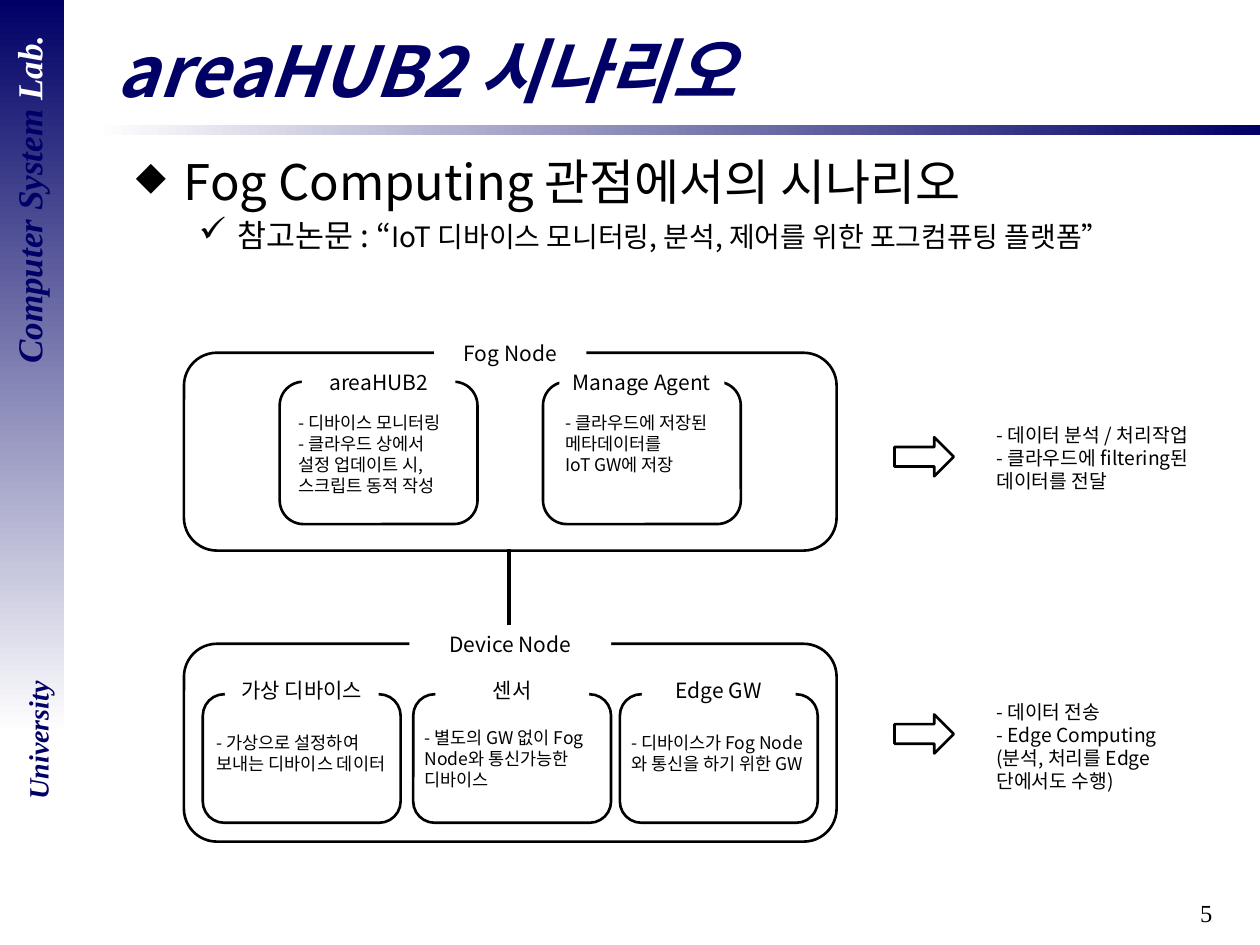
"""Build the areaHUB2 fog computing scenario slide."""
from dataclasses import dataclass

from lxml import etree
from pptx import Presentation
from pptx.dml.color import RGBColor
from pptx.enum.shapes import MSO_CONNECTOR, MSO_SHAPE
from pptx.enum.text import MSO_ANCHOR, MSO_AUTO_SIZE, PP_ALIGN
from pptx.oxml.ns import qn
from pptx.util import Inches, Pt

RECT, ROUND, ARROW = MSO_SHAPE.RECTANGLE, MSO_SHAPE.ROUNDED_RECTANGLE, MSO_SHAPE.RIGHT_ARROW
STRAIGHT = MSO_CONNECTOR.STRAIGHT
TOP, MIDDLE = MSO_ANCHOR.TOP, MSO_ANCHOR.MIDDLE
LEFT, CENTER, RIGHT = PP_ALIGN.LEFT, PP_ALIGN.CENTER, PP_ALIGN.RIGHT
GROW = MSO_AUTO_SIZE.SHAPE_TO_FIT_TEXT
COLORS = {"navy": "000066", "black": "000000", "white": "FFFFFF"}
SANS, SERIF = "Noto Sans CJK KR", "Times New Roman"


@dataclass
class Box:
    left: float
    top: float
    width: float
    height: float


@dataclass
class Run:
    text: str
    size: float
    color: str = "black"
    font: str = SANS
    strong: bool = False


@dataclass
class Bullet:
    char: str
    percent: int
    margin: float
    hang: float
    level: int


@dataclass
class Node:
    label: str
    box: Box
    label_width: float
    label_rise: float = 0.15


@dataclass
class Note:
    box: Box
    size: float
    lines: list[str]


NODES = [
    Node("Device Node", Box(1.46, 5.11, 5.18, 1.57), 1.6),
    Node("Fog Node", Box(1.46, 2.8, 5.18, 1.57), 1.21),
    Node("가상 디바이스", Box(1.61, 5.51, 1.57, 1.02), 1.22, 0.18),
    Node("센서", Box(3.28, 5.51, 1.57, 1.02), 1.22, 0.18),
    Node("Edge GW", Box(4.92, 5.51, 1.57, 1.02), 1.22, 0.18),
    Node("areaHUB2", Box(2.22, 3.03, 1.57, 1.13), 1.22),
    Node("Manage Agent", Box(4.31, 3.03, 1.57, 1.13), 1.31),
]
DEVICE_NOTES = [
    Note(Box(1.69, 5.66, 1.43, 0.64), 10, ["- 가상으로 설정하여", "보내는 디바이스 데이터"]),
    Note(Box(3.34, 5.7, 1.45, 0.64), 10, ["- 별도의 GW 없이 Fog Node와 통신가능한", "디바이스"]),
    Note(Box(4.98, 5.66, 1.48, 0.64), 10, ["- 디바이스가 Fog Node와 통신을 하기 위한 GW"]),
]
NOTES = [
    Note(Box(2.27, 3.22, 1.35, 0.77), 10,
         ["- 디바이스 모니터링", "- 클라우드 상에서", "설정 업데이트 시,", "스크립트 동적 작성"]),
    Note(Box(4.39, 3.22, 1.43, 0.61), 10, ["- 클라우드에 저장된", "메타데이터를", "IoT GW에 저장"]),
    Note(Box(7.81, 3.31, 1.76, 0.66), 11,
         ["- 데이터 분석 / 처리작업", "- 클라우드에 filtering된", "데이터를 전달"]),
    Note(Box(7.81, 5.51, 1.76, 0.84), 11,
         ["- 데이터 전송", "- Edge Computing", "(분석, 처리를 Edge 단에서도 수행)"]),
]
BULLETS = [Bullet("◆", 80, 0.38, 0.38, 0), Bullet("✓", 110, 0.81, 0.31, 1)]


def rgb(name: str) -> RGBColor:
    return RGBColor.from_string(COLORS[name])


def place(box: Box) -> list[Inches]:
    return [Inches(v) for v in (box.left, box.top, box.width, box.height)]


def write(sp, paragraphs: list[list[Run]], align=LEFT, anchor=TOP):
    tf = sp.text_frame
    tf.word_wrap = True
    tf.vertical_anchor = anchor
    for i, runs in enumerate(paragraphs):
        p = tf.add_paragraph() if i else tf.paragraphs[0]
        p.alignment = align
        for run in runs:
            r = p.add_run()
            r.text = run.text
            r.font.size = Pt(run.size)
            r.font.name = run.font
            r.font.bold = r.font.italic = run.strong
            r.font.color.rgb = rgb(run.color)
            etree.SubElement(r.font._element, qn("a:ea"), typeface=run.font)
    return tf


def add_text(s, box: Box, paragraphs: list[list[Run]], align=LEFT, anchor=TOP, rotation=0):
    sp = s.shapes.add_textbox(*place(box))
    sp.rotation = rotation
    return write(sp, paragraphs, align, anchor)


def add_shape(s, kind, box: Box, fill: str = "", line: str = ""):
    sp = s.shapes.add_shape(kind, *place(box))
    sp.shadow.inherit = False
    if fill:
        sp.fill.solid()
        sp.fill.fore_color.rgb = rgb(fill)
    else:
        sp.fill.background()
    if line:
        sp.line.color.rgb = rgb(line)
        sp.line.width = Pt(1.5)
    else:
        sp.line.fill.background()
    return sp


def add_gradient(s, box: Box, colors: tuple[str, str], angle: int) -> None:
    sp = add_shape(s, RECT, box)
    sp.fill.gradient()
    sp.fill.gradient_angle = angle
    for stop, color in zip(sp.fill.gradient_stops, colors):
        stop.color.rgb = rgb(color)


def set_bullet(p, bullet: Bullet) -> None:
    p.level = bullet.level
    ppr = p._p.get_or_add_pPr()
    ppr.set("marL", str(Inches(bullet.margin)))
    ppr.set("indent", str(-Inches(bullet.hang)))
    space = etree.SubElement(ppr, qn("a:spcBef"))
    etree.SubElement(space, qn("a:spcPct"), val="20000")
    etree.SubElement(ppr, qn("a:buSzPct"), val=str(bullet.percent * 1000))
    etree.SubElement(ppr, qn("a:buChar"), char=bullet.char)


def add_node(s, node: Node) -> None:
    b = node.box
    add_shape(s, ROUND, b, line="black")
    left = b.left + (b.width - node.label_width) / 2
    label = Box(left, b.top - node.label_rise, node.label_width, 0.3)
    sp = add_shape(s, RECT, label, fill="white")
    write(sp, [[Run(node.label, 12)]], CENTER).auto_size = GROW


def add_note(s, note: Note, framed: bool) -> None:
    paragraphs = [[Run(line, note.size)] for line in note.lines]
    if framed:
        tf = write(add_shape(s, ROUND, note.box), paragraphs, anchor=MIDDLE)
        tf.margin_left = tf.margin_right = 0
    else:
        add_text(s, note.box, paragraphs).auto_size = GROW


def add_link(s, x: float, top: float, bottom: float) -> None:
    line = s.shapes.add_connector(STRAIGHT, Inches(x), Inches(top), Inches(x), Inches(bottom))
    line.line.color.rgb = rgb("black")
    line.line.width = Pt(2.25)
    etree.SubElement(line._element.spPr, qn("a:effectLst"))


def main() -> None:
    prs = Presentation()
    prs.slide_width, prs.slide_height = Inches(10), Inches(7.5)
    s = prs.slides.add_slide(prs.slide_layouts[6])
    add_gradient(s, Box(0.75, 0.99, 9.25, 0.08), ("white", "navy"), 0)
    add_text(s, Box(7.64, 7.08, 2.08, 0.42), [[Run("5", 14, font=SERIF)]], RIGHT)
    add_gradient(s, Box(0, 0, 0.51, 5.83), ("navy", "white"), 270)
    add_text(s, Box(-1.31, 1.37, 3.07, 0.43),
             [[Run("Computer System ", 20, "navy", SERIF, True),
               Run("Lab.", 20, "white", SERIF, True)]], CENTER, rotation=270)
    add_text(s, Box(-0.41, 5.69, 1.42, 0.37),
             [[Run("University", 16, "navy", SERIF, True)]], CENTER, rotation=270)
    body = add_text(s, Box(0.98, 1.15, 8.81, 6.18), [
        [Run("Fog Computing 관점에서의 시나리오", 28)],
        [Run("참고논문 : “", 18),
         Run("IoT 디바이스 모니터링, 분석, 제어를 위한 포그컴퓨팅 플랫폼”", 16)],
    ])
    for p, bullet in zip(body.paragraphs, BULLETS):
        set_bullet(p, bullet)
    add_text(s, Box(0.83, 0.17, 8.9, 0.77),
             [[Run("areaHUB2 시나리오", 40, "navy", strong=True)]], anchor=MIDDLE)
    for node in NODES:
        add_node(s, node)
    for note in DEVICE_NOTES:
        add_note(s, note, True)
    for note in NOTES:
        add_note(s, note, False)
    for top in (3.47, 5.67):
        add_shape(s, ARROW, Box(7.1, top, 0.47, 0.31), line="black")
    add_link(s, 4.04, 4.36, 4.96)
    prs.save("out.pptx")


if __name__ == "__main__":
    main()
